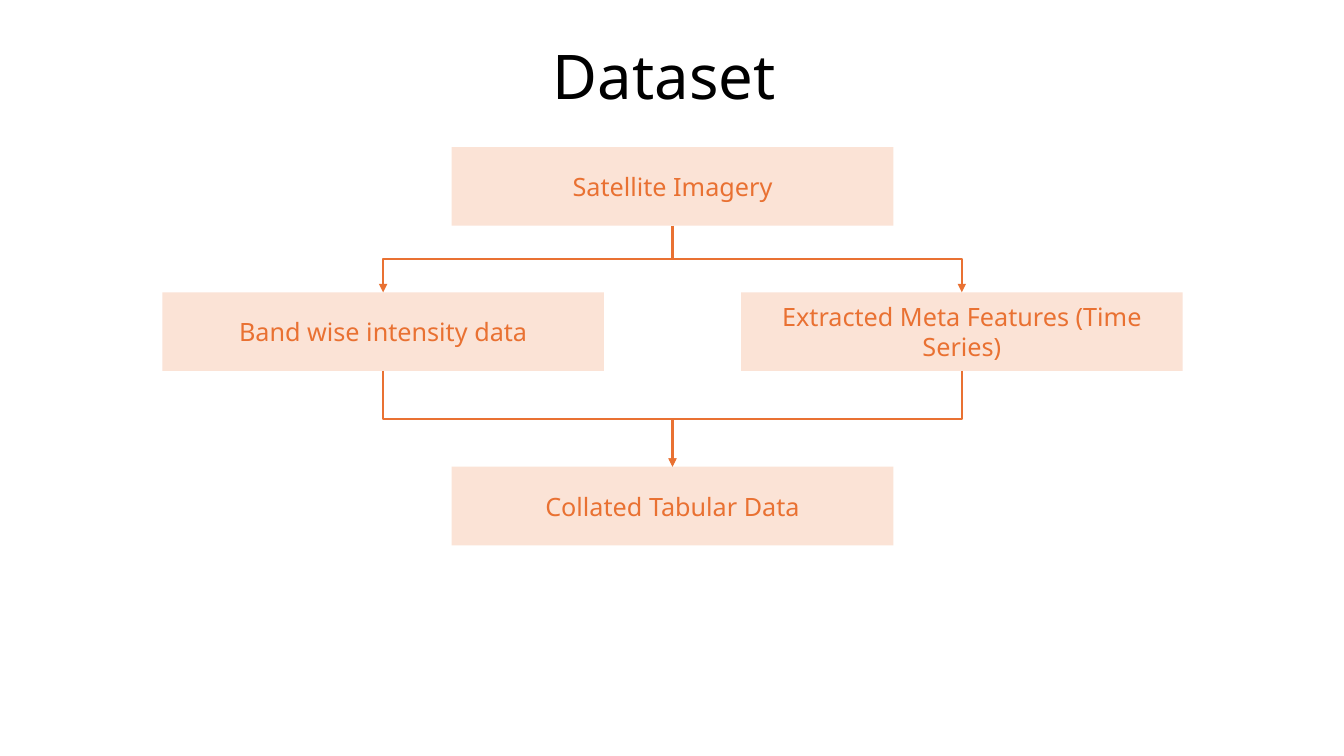
import pptx
import pptx.dml.color
import pptx.enum.shapes
import pptx.enum.text
import pptx.oxml
import pptx.oxml.ns
import pptx.util

TITLE = "Dataset"
BOXES = {
    "imagery": ("Satellite Imagery", 0, 0),
    "bands": ("Band wise intensity data", -1, 1),
    "features": ("Extracted Meta Features (Time Series)", 1, 1),
    "table": ("Collated Tabular Data", 0, 2),
}
FLOWS = [
    ("imagery", "bands"),
    ("imagery", "features"),
    ("bands", "table"),
    ("features", "table"),
]
COLORS = {"title": "000000", "accent": "E97132", "box": "FBE3D6"}
FONT = "Noto Sans"

SLIDE_WIDTH, SLIDE_HEIGHT = 13.33, 7.5
CENTER_X = 6.67
COLUMN_STEP = 2.87
ROW_TOPS = [1.46, 2.9, 4.63]
BOX_WIDTH, BOX_HEIGHT = 4.38, 0.78
TITLE_BOX = (0.76, 0.4, 11.66, 0.78)


def color(name):
    return pptx.dml.color.RGBColor.from_string(COLORS[name])


def write(shape, text, size, color_name):
    frame = shape.text_frame
    frame.word_wrap = True
    frame.auto_size = pptx.enum.text.MSO_AUTO_SIZE.NONE
    frame.vertical_anchor = pptx.enum.text.MSO_ANCHOR.MIDDLE
    paragraph = frame.paragraphs[0]
    paragraph.alignment = pptx.enum.text.PP_ALIGN.CENTER
    run = paragraph.add_run()
    run.text = text
    run.font.name = FONT
    run.font.size = pptx.util.Pt(size)
    run.font.color.rgb = color(color_name)
    return paragraph


def add_title(slide):
    title = slide.shapes.title
    title.left, title.top, title.width, title.height = map(pptx.util.Inches, TITLE_BOX)
    write(title, TITLE, 44, "title").line_spacing = 0.9


def add_box(slide, text, column, row):
    left = CENTER_X + column * COLUMN_STEP - BOX_WIDTH / 2
    box = slide.shapes.add_shape(
        pptx.enum.shapes.MSO_SHAPE.RECTANGLE,
        *map(pptx.util.Inches, (left, ROW_TOPS[row], BOX_WIDTH, BOX_HEIGHT)),
    )
    box.shadow.inherit = False
    box.fill.solid()
    box.fill.fore_color.rgb = color("box")
    box.line.fill.background()
    write(box, text, 18, "accent")
    return box


def add_flow(slide, source, target):
    start_x, start_y = source.left + source.width // 2, source.top + source.height
    end_x, end_y = target.left + target.width // 2, target.top
    connector = slide.shapes.add_connector(
        pptx.enum.shapes.MSO_CONNECTOR.ELBOW, start_x, start_y, end_x, end_y
    )
    connector.begin_connect(source, 2)
    connector.end_connect(target, 0)

    drop, span = end_y - start_y, abs(end_x - start_x)
    goes_right = end_x > start_x
    connector.left = (start_x + end_x - drop) // 2
    connector.top = (start_y + end_y - span) // 2
    connector.width, connector.height = drop, span
    properties = connector._element.spPr
    frame = properties.get_or_add_xfrm()
    frame.rot = 270 if goes_right else 90
    frame.flipH, frame.flipV = goes_right, False

    connector.line.color.rgb = color("accent")
    connector.line.width = pptx.util.Pt(1.5)
    namespace = pptx.oxml.ns.nsdecls("a")
    connector.line._get_or_add_ln().append(
        pptx.oxml.parse_xml(f'<a:tailEnd {namespace} type="triangle"/>')
    )
    properties.append(pptx.oxml.parse_xml(f"<a:effectLst {namespace}/>"))


def main():
    presentation = pptx.Presentation()
    presentation.slide_width = pptx.util.Inches(SLIDE_WIDTH)
    presentation.slide_height = pptx.util.Inches(SLIDE_HEIGHT)
    slide = presentation.slides.add_slide(presentation.slide_layouts.get_by_name("Title Only"))
    add_title(slide)
    boxes = {name: add_box(slide, *box) for name, box in BOXES.items()}
    for source, target in FLOWS:
        add_flow(slide, boxes[source], boxes[target])
    presentation.save("out.pptx")


if __name__ == "__main__":
    main()
